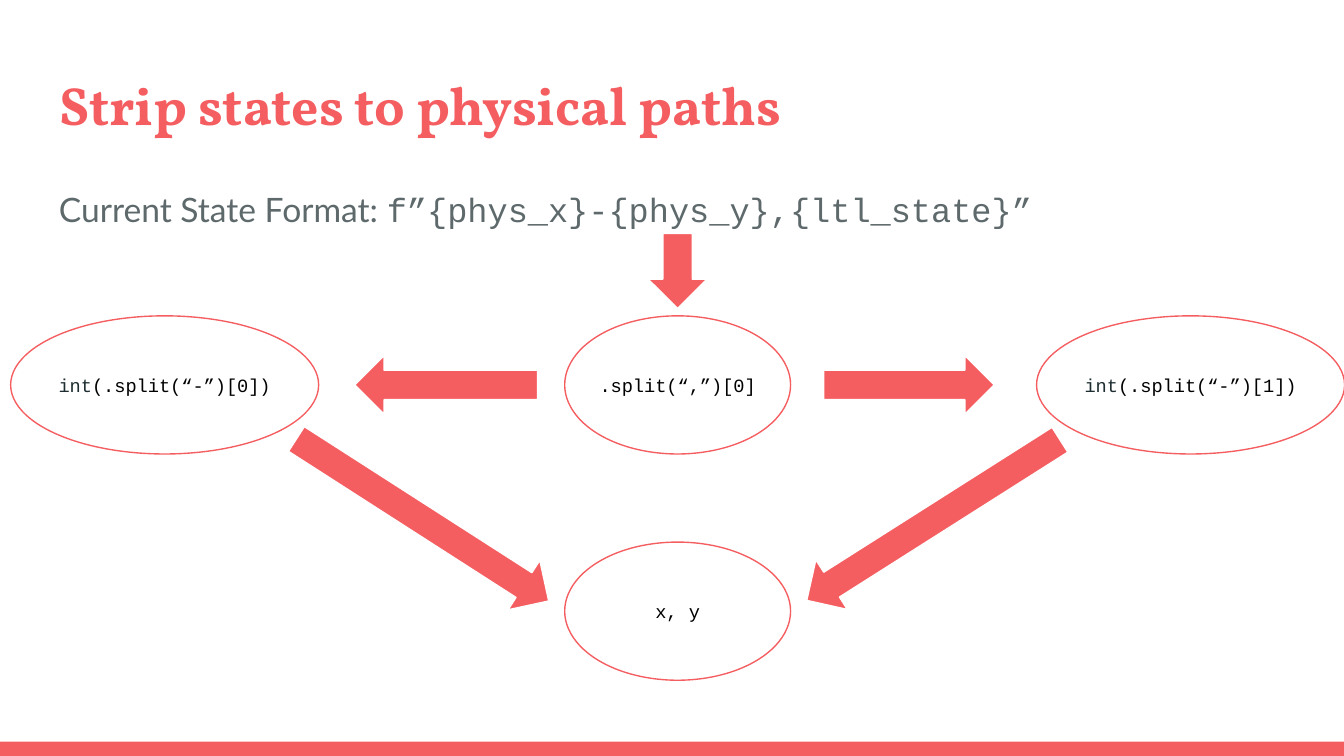
from pptx import Presentation
from pptx.dml.color import RGBColor as RGB
from pptx.enum.shapes import MSO_SHAPE as Form
from pptx.enum.text import MSO_ANCHOR as Anchor, MSO_AUTO_SIZE as Fit, PP_ALIGN as Align
from pptx.util import Pt

theme = {
    "coral": "F55E61", "white": "FFFFFF", "gray": "5E696C",
    "dark": "1E2D31", "black": "000000",
    "title": 28.8, "body": 18, "code": 10,
    "serif": "Vollkorn", "sans": "Lato", "mono": "Courier New",
}


def draw(form, mid, size, fill, line=None, turn=0):
    """Add a shape centred on mid."""
    (x, y), (w, h) = mid, size
    shape = slide.shapes.add_shape(form, Pt(x - w / 2), Pt(y - h / 2), Pt(w), Pt(h))
    shape.shadow.inherit = False
    shape.rotation = turn
    shape.fill.solid()
    shape.fill.fore_color.rgb = RGB.from_string(theme[fill])
    if line:
        shape.line.color.rgb = RGB.from_string(theme[line])
        shape.line.width = Pt(0.75)
    else:
        shape.line.fill.background()
    return shape


def write(shape, runs, size, inset, align, anchor, bold=False):
    """Fill a shape with one paragraph of (text, font, color) runs."""
    frame = shape.text_frame
    look = {"word_wrap": True, "auto_size": Fit.NONE, "vertical_anchor": anchor}
    for side in ("left", "right", "top", "bottom"):
        look["margin_" + side] = Pt(inset)
    for name, value in look.items():
        setattr(frame, name, value)
    para = frame.paragraphs[0]
    para.alignment = align
    for text, face, color in runs:
        run = para.add_run()
        run.text = text
        font = {"name": theme[face], "size": Pt(theme[size]), "bold": bold}
        for name, value in font.items():
            setattr(run.font, name, value)
        run.font.color.rgb = RGB.from_string(theme[color])
    return para


deck = Presentation()
deck.slide_width, deck.slide_height = Pt(720), Pt(405)
slide = deck.slides.add_slide(deck.slide_layouts[5])

# Footer bar
draw(Form.RECTANGLE, (360, 401.2), (720, 7.6), "coral")

# Title
title = slide.shapes.title
place = {"left": 24.5, "top": 31, "width": 671, "height": 49}
for name, value in place.items():
    setattr(title, name, Pt(value))
write(title, [("Strip states to physical paths", "serif", "coral")],
      "title", 7.2, Align.LEFT, Anchor.TOP, bold=True)

# State format
body = slide.shapes.add_textbox(Pt(24.5), Pt(90.7), Pt(671), Pt(269.3))
para = write(body, [("Current State Format: ", "sans", "gray"),
                    ("f”{phys_x}-{phys_y},{ltl_state}”", "mono", "gray")],
             "body", 7.2, Align.LEFT, Anchor.TOP)
para.line_spacing = 1.15

# Steps: centre, width, code
mid, left, right = 363, 88.2, 637.8
row, end = 206.2, 327.4
steps = [
    ((mid, row), 121, [(".split(“,”)[0]", "black")]),
    ((left, row), 165, [("int", "dark"), ("(.split(“-”)[0])", "black")]),
    ((right, row), 165, [("int", "dark"), ("(.split(“-”)[1])", "black")]),
    ((mid, end), 121, [("x, y", "black")]),
]
for spot, wide, code in steps:
    oval = draw(Form.OVAL, spot, (wide, 74), "white", "coral")
    write(oval, [(text, "mono", color) for text, color in code],
          "code", 0, Align.CENTER, Anchor.MIDDLE)

# Arrows: centre, length, turn
arrows = [
    ((mid, 145.2), 40.3, 90),
    ((239, row), 97.9, 180),
    ((487, row), 91.4, 0),
    ((226.4, 278.6), 160.6, 32.7),
    ((500, 278.6), 160.6, 147.6),
]
for spot, span, turn in arrows:
    draw(Form.RIGHT_ARROW, spot, (span, 31.5), "coral", "white", turn)

deck.save("out.pptx")
